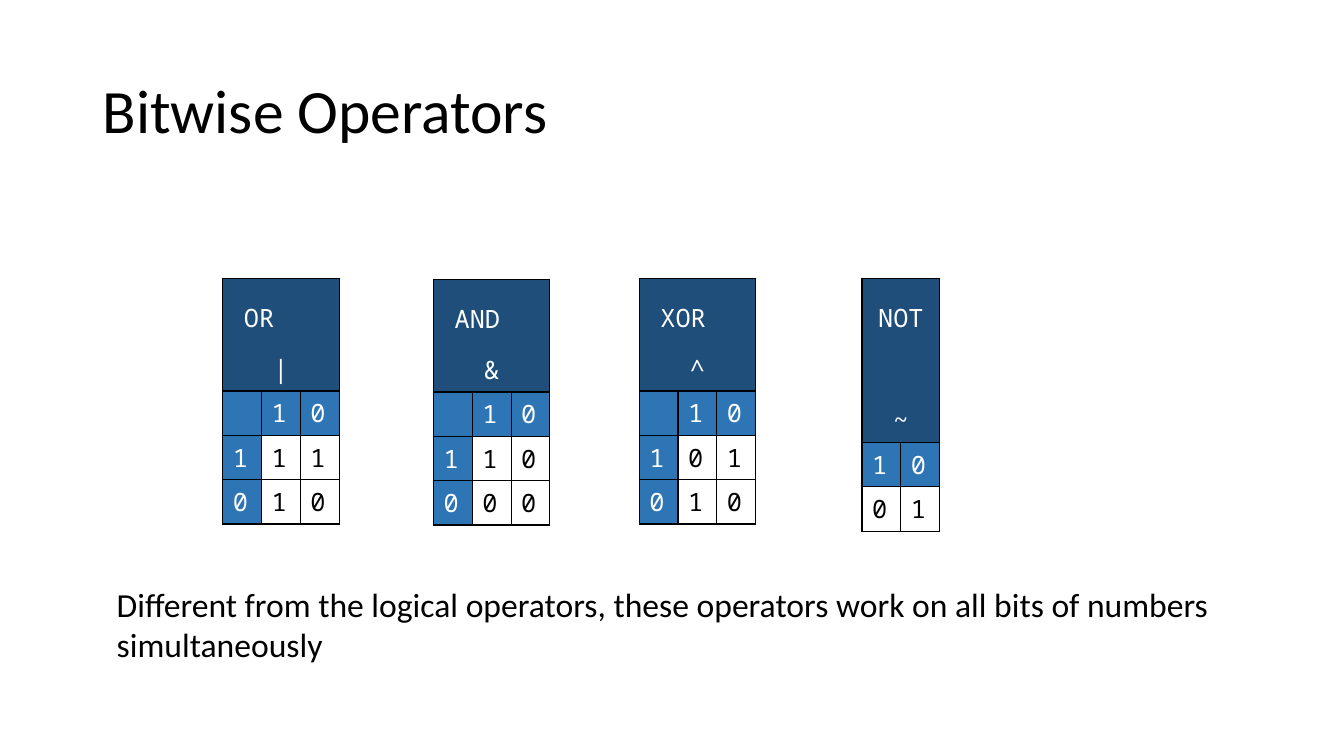
from lxml.etree import SubElement
from pptx import Presentation
from pptx.dml.color import RGBColor
from pptx.enum.text import MSO_ANCHOR, PP_ALIGN
from pptx.oxml.ns import qn
from pptx.util import Inches, Pt

COLORS = {"black": "000000", "white": "FFFFFF", "navy": "1E4E79", "blue": "2E75B5"}
SANS, MONO = "Calibri", "Noto Sans Mono"


def write(para, text, font=MONO, size=18, color="black", align=PP_ALIGN.LEFT, spacing=1.0):
    para.alignment = align
    para.line_spacing = spacing
    span = para.add_run()
    span.text = text
    span.font.name = font
    span.font.size = Pt(size)
    span.font.color.rgb = RGBColor.from_string(COLORS[color])


def style_cell(cell, fill):
    properties = cell._tc.get_or_add_tcPr()
    for side in ("a:lnL", "a:lnR", "a:lnT", "a:lnB"):
        line = SubElement(properties, qn(side), w=str(Pt(1)))
        solid = SubElement(line, qn("a:solidFill"))
        SubElement(solid, qn("a:srgbClr"), val=COLORS["black"])
    cell.fill.solid()
    cell.fill.fore_color.rgb = RGBColor.from_string(COLORS[fill])


deck = Presentation()
deck.slide_width, deck.slide_height = Inches(13.33), Inches(7.5)
page = deck.slides.add_slide(deck.slide_layouts[6])

# Title and closing remark
remark = ("Different from the logical operators, these operators work on "
          "all bits of numbers simultaneously")
for text, left, top, width, height, size, anchor, spacing in [
    ("Bitwise Operators", 0.92, 0.4, 11.5, 1.45, 44, MSO_ANCHOR.MIDDLE, 0.9),
    (remark, 1.06, 5.74, 11.36, 0.91, 24, MSO_ANCHOR.TOP, 1.0),
]:
    box = page.shapes.add_textbox(Inches(left), Inches(top), Inches(width), Inches(height))
    box.text_frame.word_wrap = True
    box.text_frame.vertical_anchor = anchor
    write(box.text_frame.paragraphs[0], text, font=SANS, size=size, spacing=spacing)

# Truth tables: name, symbol, left, top, rows below the heading
truth_tables = [
    ("OR", "|", 2.21, 2.76, [" 10", "111", "010"]),
    ("AND", "&", 4.3, 2.77, [" 10", "110", "000"]),
    ("XOR", "^", 6.34, 2.76, [" 10", "101", "010"]),
    ("NOT", "~", 8.55, 2.76, ["10", "01"]),
]
for name, symbol, left, top, rows in truth_tables:
    columns = len(rows[0])
    binary = columns == 3
    heading_height = 1.12 if binary else 1.63
    table = page.shapes.add_table(
        len(rows) + 1, columns, Inches(left), Inches(top),
        Inches(0.385 * columns), Inches(heading_height + 0.44 * len(rows))).table
    table.first_row = table.horz_banding = False

    # Merged heading with the operator's name above its symbol
    table.rows[0].height = Inches(heading_height)
    heading = table.cell(0, 0)
    heading.merge(table.cell(0, columns - 1))
    for column in range(columns):
        style_cell(table.cell(0, column), "navy")
    name_para = heading.text_frame.paragraphs[0]
    write(name_para, name, color="white", spacing=1.5,
          align=PP_ALIGN.LEFT if binary else PP_ALIGN.CENTER)
    symbol_para = heading.text_frame.add_paragraph()
    write(symbol_para, symbol, color="white", spacing=1.5, align=PP_ALIGN.CENTER)
    if binary:
        name_para._p.get_or_add_pPr().set("marL", str(Inches(0.11)))
    else:
        symbol_para.space_before = Pt(36.5)

    # Operand cells are blue, result cells white
    for row, bits in enumerate(rows, start=1):
        table.rows[row].height = Inches(0.44)
        for column, bit in enumerate(bits):
            operand = row == 1 or (binary and column == 0)
            cell = table.cell(row, column)
            style_cell(cell, "blue" if operand else "white")
            if bit != " ":
                write(cell.text_frame.paragraphs[0], bit,
                      color="white" if operand else "black")

deck.save("out.pptx")
